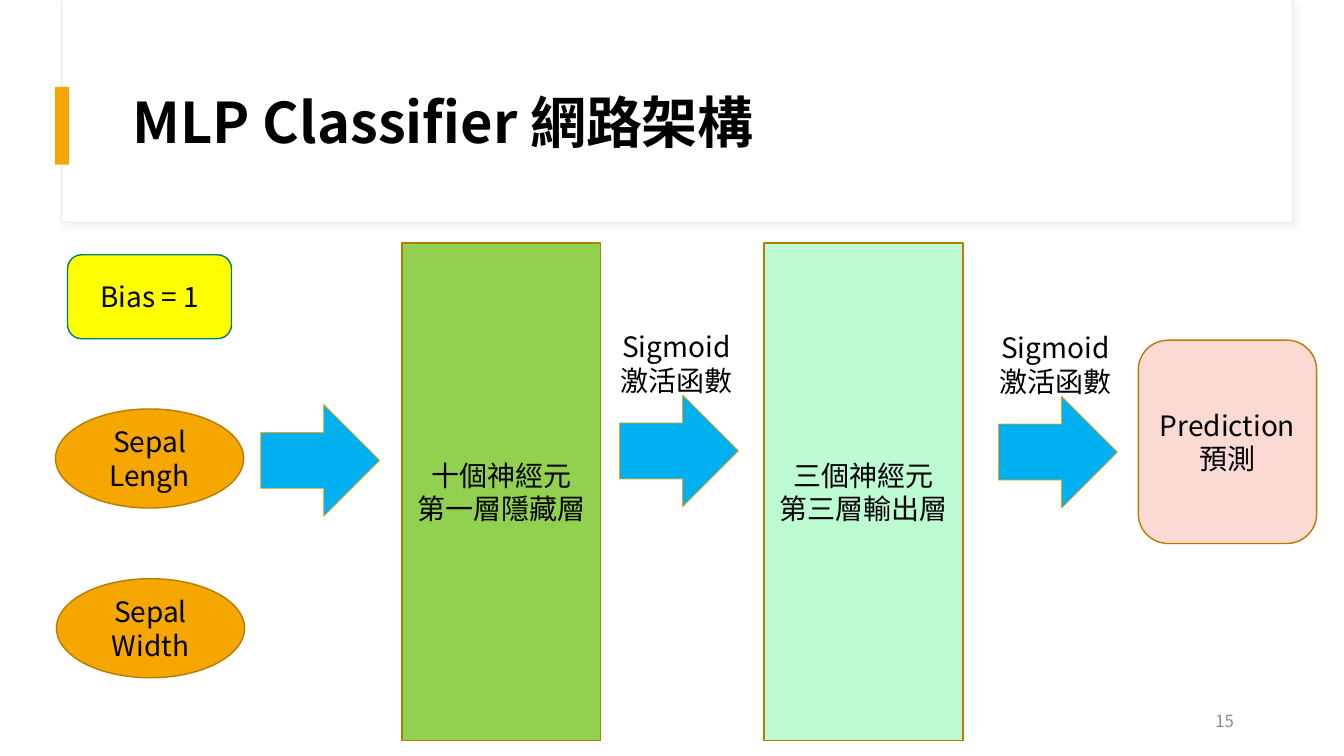
from dataclasses import dataclass
from typing import Optional

import lxml.etree
import pptx
import pptx.dml.color
import pptx.enum.shapes
import pptx.enum.text
import pptx.oxml
import pptx.oxml.ns
import pptx.util

Shapes = pptx.enum.shapes.MSO_SHAPE
Align = pptx.enum.text.PP_ALIGN
Anchor = pptx.enum.text.MSO_ANCHOR


@dataclass(frozen=True)
class Theme:
    font: str = "Noto Sans CJK SC"
    text: str = "000000"
    muted: str = "8C8C8C"
    paper: str = "FFFFFF"
    frame_line: str = "E9E9E9"
    frame_shadow: str = "D9D9D9"
    orange: str = "F5A700"
    brown: str = "B57C00"
    yellow: str = "FFFF00"
    teal: str = "007A7F"
    green: str = "92D050"
    mint: str = "BDFBD3"
    blue: str = "00B0F0"
    pink: str = "FADAD3"
    title_size: float = 40
    body_size: float = 20
    number_size: float = 12


THEME = Theme()
SLIDE_WIDTH = pptx.util.Inches(13.333)
SLIDE_HEIGHT = pptx.util.Inches(7.5)


@dataclass(frozen=True)
class Box:
    """A place in percent of the slide's width and height."""
    left: float
    top: float
    width: float
    height: float

    def lengths(self) -> tuple[int, int, int, int]:
        return (int(SLIDE_WIDTH * self.left / 100), int(SLIDE_HEIGHT * self.top / 100),
                int(SLIDE_WIDTH * self.width / 100), int(SLIDE_HEIGHT * self.height / 100))


@dataclass(frozen=True)
class Node:
    kind: Shapes
    box: Box
    fill: str
    line: Optional[str] = None
    line_width: float = 1
    lines: tuple[str, ...] = ()


@dataclass(frozen=True)
class Label:
    box: Box
    lines: tuple[str, ...]
    size: float = THEME.body_size
    color: str = THEME.text
    align: Align = Align.CENTER
    anchor: Anchor = Anchor.TOP
    bold: bool = False
    line_spacing: float = 1.0


def feature(left: float, top: float, name: str) -> Node:
    return Node(Shapes.OVAL, Box(left, top, 14, 13.1), THEME.orange, THEME.brown, lines=(name,))


def layer(left: float, fill: str, *lines: str) -> Node:
    return Node(Shapes.RECTANGLE, Box(left, 32.15, 14.8, 65.85), fill, THEME.brown, lines=lines)


def arrow(left: float, top: float) -> Node:
    return Node(Shapes.RIGHT_ARROW, Box(left, top, 8.85, 14.8), THEME.blue, THEME.orange, 0.5)


def activation(step: Node) -> Label:
    """The name of the activation function, above its arrow."""
    return Label(Box(step.box.left - 1.87, step.box.top - 9.33, 12.2, 10.3),
                 ("Sigmoid", "激活函數"))


FRAME = Node(Shapes.RECTANGLE, Box(4.58, 0, 91.58, 29.47), THEME.paper, THEME.frame_line, 0.75)
INPUT_ARROW = arrow(19.4, 53.5)
HIDDEN_ARROW = arrow(46.1, 52.25)
OUTPUT_ARROW = arrow(74.3, 52.4)

NODES = (
    Node(Shapes.RECTANGLE, Box(4.65, 0, 91.5, 29.33), THEME.paper),
    Node(Shapes.RECTANGLE, Box(4.1, 11.5, 1.05, 10.3), THEME.orange),
    feature(4.13, 54.1, "Sepal Lengh"),
    feature(4.2, 76.55, "Sepal Width"),
    Node(Shapes.ROUNDED_RECTANGLE, Box(5.03, 33.7, 12.2, 11.1), THEME.yellow, THEME.teal,
         lines=("Bias = 1",)),
    layer(29.9, THEME.green, "十個神經元", "第一層隱藏層"),
    layer(56.85, THEME.mint, "三個神經元", "第三層輸出層"),
    INPUT_ARROW, HIDDEN_ARROW, OUTPUT_ARROW,
    Node(Shapes.ROUNDED_RECTANGLE, Box(84.7, 45, 13.27, 26.9), THEME.pink, THEME.brown,
         lines=("Prediction", "預測")),
)

LABELS = (
    Label(Box(9.15, 8, 83.4, 17.2), ("MLP Classifier 網路架構",), THEME.title_size,
          align=Align.LEFT, anchor=Anchor.MIDDLE, bold=True, line_spacing=0.9),
    Label(Box(70.05, 92.67, 22.5, 5.33), ("15",), THEME.number_size, THEME.muted,
          Align.RIGHT, Anchor.MIDDLE),
    activation(HIDDEN_ARROW),
    activation(OUTPUT_ARROW),
)


def rgb(color: str) -> pptx.dml.color.RGBColor:
    return pptx.dml.color.RGBColor.from_string(color)


def write_text(shape, label: Label) -> None:
    frame = shape.text_frame
    frame.word_wrap = True
    frame.vertical_anchor = label.anchor
    frame.text = "\n".join(label.lines)
    for paragraph in frame.paragraphs:
        paragraph.alignment = label.align
        paragraph.line_spacing = label.line_spacing
        font = paragraph.font
        font.name = THEME.font
        font.size = pptx.util.Pt(label.size)
        font.bold = label.bold
        font.color.rgb = rgb(label.color)
        latin = paragraph._p.find(".//" + pptx.oxml.ns.qn("a:latin"))
        east_asian = lxml.etree.Element(pptx.oxml.ns.qn("a:ea"), typeface=THEME.font)
        latin.addnext(east_asian)


def add_node(slide, node: Node):
    shape = slide.shapes.add_shape(node.kind, *node.box.lengths())
    shape.shadow.inherit = False
    shape.fill.solid()
    shape.fill.fore_color.rgb = rgb(node.fill)
    if node.line:
        shape.line.color.rgb = rgb(node.line)
        shape.line.width = pptx.util.Pt(node.line_width)
    else:
        shape.line.fill.background()
    if node.lines:
        write_text(shape, Label(node.box, node.lines, anchor=Anchor.MIDDLE))
    return shape


def add_soft_shadow(shape) -> None:
    effects = shape._element.spPr.find(pptx.oxml.ns.qn("a:effectLst"))
    effects.append(pptx.oxml.parse_xml(
        f'<a:outerShdw {pptx.oxml.ns.nsdecls("a")} blurRad="50800" dist="38100" dir="2700000">'
        f'<a:srgbClr val="{THEME.frame_shadow}"><a:alpha val="30000"/></a:srgbClr>'
        '</a:outerShdw>'))


def main() -> None:
    presentation = pptx.Presentation()
    presentation.slide_width = SLIDE_WIDTH
    presentation.slide_height = SLIDE_HEIGHT
    slide = presentation.slides.add_slide(presentation.slide_layouts[6])
    add_soft_shadow(add_node(slide, FRAME))
    for node in NODES:
        add_node(slide, node)
    for label in LABELS:
        write_text(slide.shapes.add_textbox(*label.box.lengths()), label)
    presentation.save("out.pptx")


if __name__ == "__main__":
    main()
